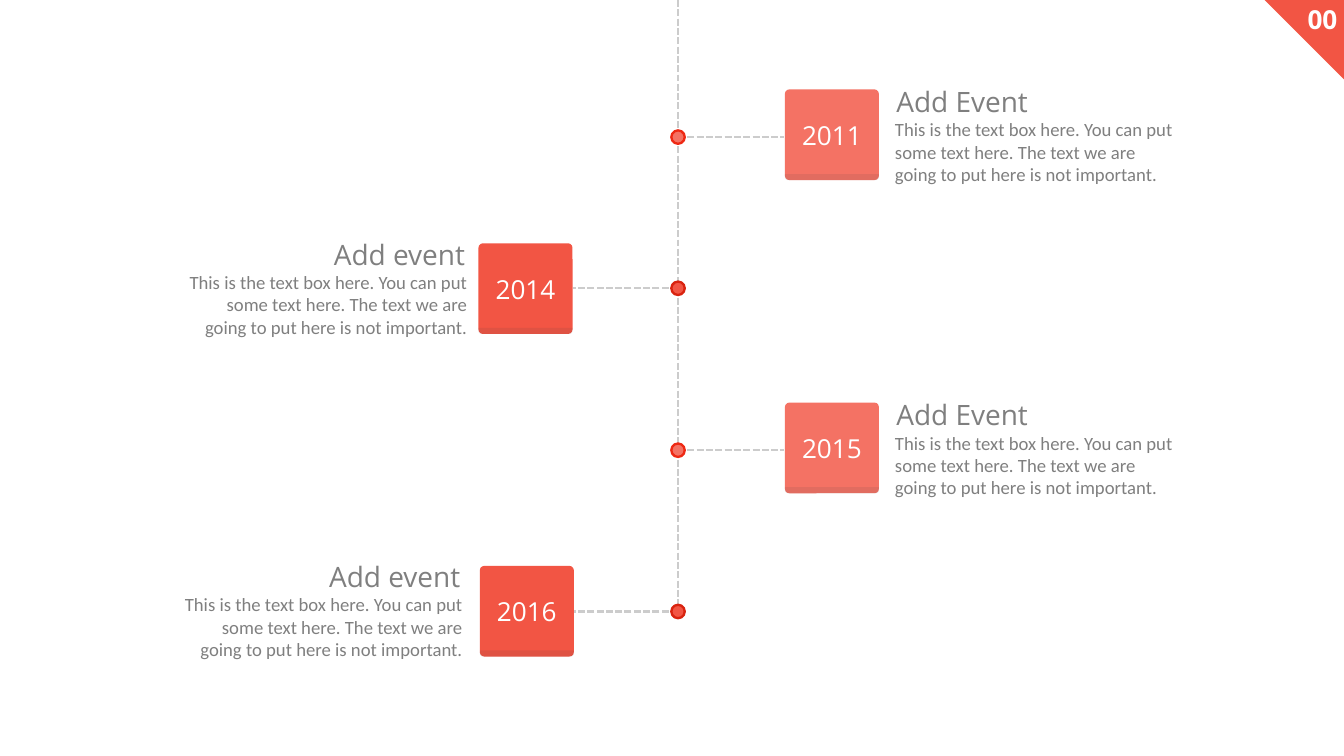
import dataclasses
import itertools
import typing

import pptx
import pptx.dml.color
import pptx.enum.dml
import pptx.enum.shapes
import pptx.enum.text
import pptx.oxml.ns
import pptx.oxml.xmlchemy
import pptx.util

EMU_PER_PX = 9144
SLIDE_WIDTH, SLIDE_HEIGHT = 2000, 1125
AXIS_X = 1009
DOT_SIZE = 20
CARD_WIDTH, CARD_HEIGHT, CARD_EDGE = 140, 135, 9
LINE_WEIGHT = pptx.util.Pt(2.5)

COLORS = {
    "strong": "F25544",
    "strong_rim": "D9230F",
    "soft": "F47264",
    "soft_rim": "EE2914",
    "dash": "CCCCCC",
    "gray": "7F7F7F",
    "edge": "404040",
    "white": "FFFFFF",
}
DETAILS = (
    "This is the text box here. You can put some text here. "
    "The text we are going to put here is not important."
)
NUMBER = {"name": "Open Sans", "size": pptx.util.Pt(28), "bold": True}
YEAR = {"name": "Open Sans", "size": pptx.util.Pt(28)}
HEADING = {"name": "Open Sans", "size": pptx.util.Pt(30)}
BODY = {"name": "Calibri", "size": pptx.util.Pt(20)}

SHAPES = pptx.enum.shapes.MSO_SHAPE
ALIGN = pptx.enum.text.PP_ALIGN


@dataclasses.dataclass(frozen=True)
class Side:
    heading: str
    tone: str
    branch_end: int
    heading_offset: int
    align: pptx.enum.text.PP_ALIGN


@dataclasses.dataclass(frozen=True)
class Event:
    year: str
    side: Side
    node_y: int
    card_left: int
    card_top: int
    text_left: int
    text_top: int


LEFT = Side("Add event", "strong", 852, 220, ALIGN.RIGHT)
RIGHT = Side("Add Event", "soft", 1167, 2, ALIGN.LEFT)
EVENTS = [
    Event("2011", RIGHT, 204, 1168, 133, 1322, 121),
    Event("2014", LEFT, 429, 712, 362, 265, 348),
    Event("2015", RIGHT, 670, 1168, 599, 1322, 587),
    Event("2016", LEFT, 910, 714, 842, 258, 828),
]


def px(length: int) -> pptx.util.Emu:
    return pptx.util.Emu(length * EMU_PER_PX)


def rgb(color: str) -> pptx.dml.color.RGBColor:
    return pptx.dml.color.RGBColor.from_string(COLORS[color])


def write(frame, text: str, style: dict[str, typing.Any], color: str, align) -> None:
    paragraph = frame.paragraphs[0]
    paragraph.alignment = align
    run = paragraph.add_run()
    run.text = text
    for attribute, value in style.items():
        setattr(run.font, attribute, value)
    run.font.color.rgb = rgb(color)


def add_text(slide, box: tuple[int, ...], text: str, style: dict[str, typing.Any],
             color: str, align, wrap: bool = False) -> None:
    frame = slide.shapes.add_textbox(*map(px, box)).text_frame
    frame.word_wrap = wrap
    frame.auto_size = pptx.enum.text.MSO_AUTO_SIZE.SHAPE_TO_FIT_TEXT
    write(frame, text, style, color, align)


def add_shape(slide, kind, box: tuple[int, ...], color: str,
              adjustments: tuple[float, ...] = (), rim: str | None = None):
    shape = slide.shapes.add_shape(kind, *map(px, box))
    shape.shadow.inherit = False
    shape.fill.solid()
    shape.fill.fore_color.rgb = rgb(color)
    for index, value in enumerate(adjustments):
        shape.adjustments[index] = value
    if rim:
        shape.line.color.rgb = rgb(rim)
        shape.line.width = LINE_WEIGHT
    else:
        shape.line.fill.background()
    return shape


def add_dashes(slide, start: tuple[int, int], end: tuple[int, int]) -> None:
    dashes = slide.shapes.add_connector(
        pptx.enum.shapes.MSO_CONNECTOR.STRAIGHT, *map(px, start + end))
    dashes.line.color.rgb = rgb("dash")
    dashes.line.width = LINE_WEIGHT
    dashes.line.dash_style = pptx.enum.dml.MSO_LINE.SQUARE_DOT
    dashes._element.spPr.append(pptx.oxml.xmlchemy.OxmlElement("a:effectLst"))


def add_corner(slide) -> None:
    corner = add_shape(slide, SHAPES.ISOSCELES_TRIANGLE, (1882, 0, 118, 118), "strong", (0,))
    corner.rotation = 180
    add_text(slide, (1935, 0, 65, 57), "00", NUMBER, "white", ALIGN.RIGHT)


def add_card(slide, event: Event) -> None:
    left, top = event.card_left, event.card_top
    card = add_shape(slide, SHAPES.ROUNDED_RECTANGLE, (left, top, CARD_WIDTH, CARD_HEIGHT),
                     event.side.tone, (0.05,))
    card.text_frame.vertical_anchor = pptx.enum.text.MSO_ANCHOR.MIDDLE
    write(card.text_frame, event.year, YEAR, "white", ALIGN.CENTER)

    edge_top = top + CARD_HEIGHT - CARD_EDGE
    edge = add_shape(slide, SHAPES.ROUND_2_SAME_RECTANGLE,
                     (left, edge_top, CARD_WIDTH, CARD_EDGE), "edge", (0, 0.5))
    alpha = pptx.oxml.xmlchemy.OxmlElement("a:alpha")
    alpha.set("val", "10000")
    edge._element.spPr.find(".//" + pptx.oxml.ns.qn("a:srgbClr")).append(alpha)


def add_event(slide, event: Event) -> None:
    side = event.side
    add_dashes(slide, (AXIS_X, event.node_y), (side.branch_end, event.node_y))
    add_shape(slide, SHAPES.OVAL,
              (AXIS_X - DOT_SIZE // 2, event.node_y - DOT_SIZE // 2, DOT_SIZE, DOT_SIZE),
              side.tone, rim=side.tone + "_rim")
    add_text(slide, (event.text_left + side.heading_offset, event.text_top, 217, 61),
             side.heading, HEADING, "gray", side.align)
    add_text(slide, (event.text_left, event.text_top + 50, 440, 111),
             DETAILS, BODY, "gray", side.align, wrap=True)
    add_card(slide, event)


def main() -> None:
    presentation = pptx.Presentation()
    presentation.slide_width = px(SLIDE_WIDTH)
    presentation.slide_height = px(SLIDE_HEIGHT)
    slide = presentation.slides.add_slide(presentation.slide_layouts[6])
    add_corner(slide)
    for top, bottom in itertools.pairwise([0] + [event.node_y for event in EVENTS]):
        add_dashes(slide, (AXIS_X, top), (AXIS_X, bottom))
    for event in EVENTS:
        add_event(slide, event)
    presentation.save("out.pptx")


if __name__ == "__main__":
    main()
